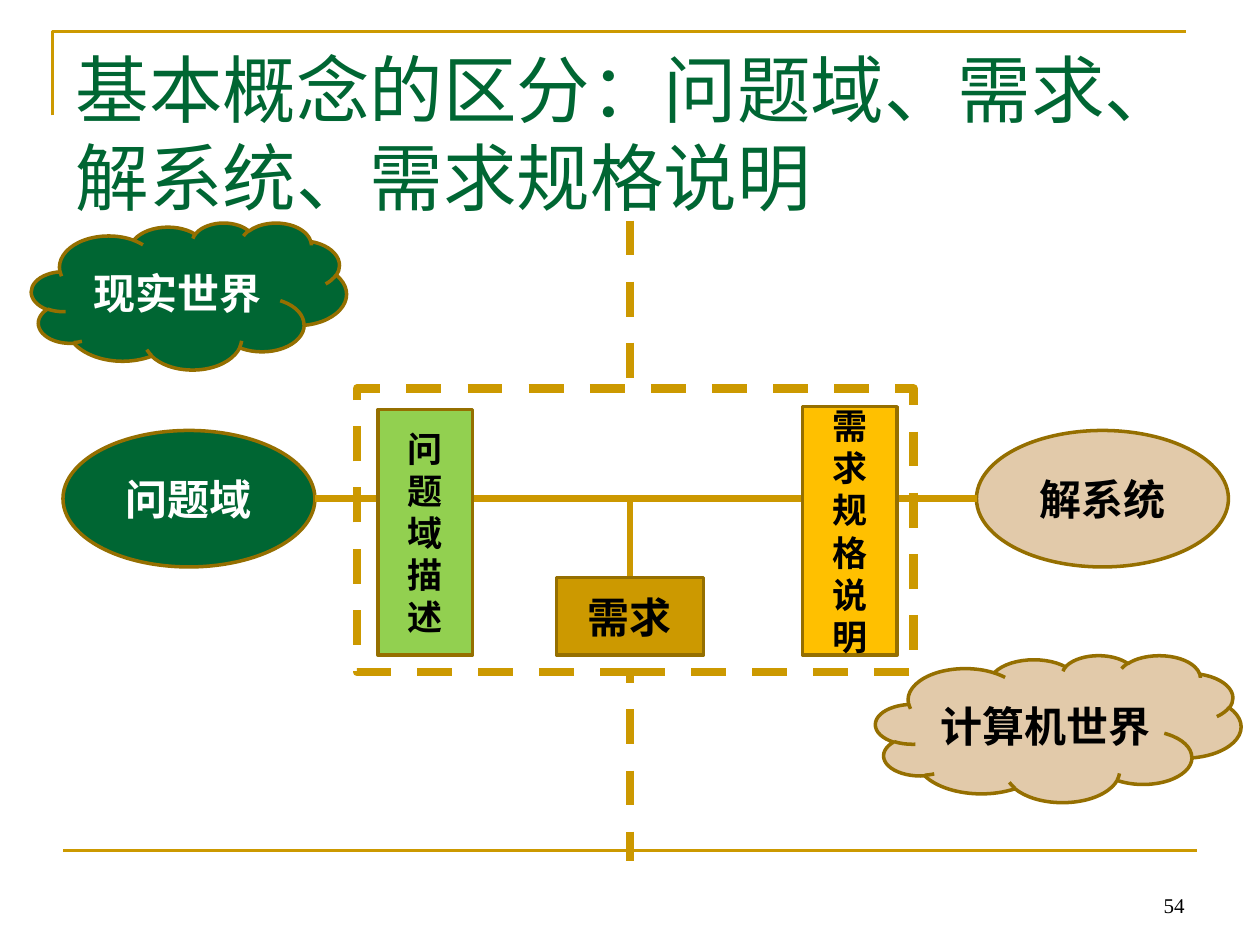
"""Draw the slide that sets problem domain, needs, solution and specification apart."""
from dataclasses import dataclass

import pptx
import pptx.dml.color
import pptx.enum.dml
import pptx.enum.shapes
import pptx.enum.text
import pptx.oxml.ns
import pptx.util
from lxml import etree

Pt = pptx.util.Pt
Kind = pptx.enum.shapes.MSO_SHAPE
Align = pptx.enum.text.PP_ALIGN
Anchor = pptx.enum.text.MSO_ANCHOR
DASH = pptx.enum.dml.MSO_LINE.DASH
GOLD, LINK, EDGE = "CC9900", "CC9800", "956F00"
GREEN, TAN, WHITE, BLACK = "006633", "E2CAAA", "FFFFFF", "000000"


@dataclass
class Node:
    text: str
    kind: int
    left: float
    top: float
    width: float
    height: float
    fill: str
    ink: str = BLACK
    size: float = 24


@dataclass
class Wire:
    x1: float
    y1: float
    x2: float
    y2: float
    color: str
    width: float
    dash: bool = False


def rgb(code: str):
    return pptx.dml.color.RGBColor.from_string(code)


def paint(shape, fill: str, edge: str, width: float) -> None:
    shape.shadow.inherit = False
    shape.fill.solid()
    shape.fill.fore_color.rgb = rgb(fill)
    shape.line.color.rgb = rgb(edge)
    shape.line.width = Pt(width)


def write(shape, text: str, size: float, font: str, ink: str,
          align, anchor, bold: bool = False) -> None:
    frame = shape.text_frame
    frame.text = text
    frame.word_wrap = True
    frame.auto_size = pptx.enum.text.MSO_AUTO_SIZE.NONE
    frame.vertical_anchor = anchor
    para = frame.paragraphs[0]
    para.alignment = align
    for run in para.runs:
        run.font.size = Pt(size)
        run.font.name = font
        run.font.bold = bold
        run.font.color.rgb = rgb(ink)


def draw_node(slide, node: Node):
    shape = slide.shapes.add_shape(
        node.kind, Pt(node.left), Pt(node.top), Pt(node.width), Pt(node.height))
    paint(shape, node.fill, EDGE, 2)
    write(shape, node.text, node.size, "Arial", node.ink,
          Align.CENTER, Anchor.MIDDLE, True)
    return shape


def draw_wire(slide, wire: Wire):
    line = slide.shapes.add_connector(
        pptx.enum.shapes.MSO_CONNECTOR.STRAIGHT,
        Pt(wire.x1), Pt(wire.y1), Pt(wire.x2), Pt(wire.y2))
    line.line.color.rgb = rgb(wire.color)
    line.line.width = Pt(wire.width)
    if wire.dash:
        line.line.dash_style = DASH
    etree.SubElement(line._element.spPr, pptx.oxml.ns.qn("a:effectLst"))
    return line


def draw_trim(slide) -> None:
    pen = slide.shapes.build_freeform(Pt(30), Pt(66))
    pen.add_line_segments([(Pt(30), Pt(18)), (Pt(678), Pt(18))], close=False)
    trim = pen.convert_to_shape()
    paint(trim, WHITE, GOLD, 1.5)
    trim.fill.background()
    draw_wire(slide, Wire(36, 486, 684, 486, GOLD, 1.5))


def draw_text(slide) -> None:
    title = slide.shapes.title
    title.left, title.top, title.width, title.height = Pt(36), Pt(21.6), Pt(648), Pt(90)
    write(title, "基本概念的区分：问题域、需求、解系统、需求规格说明", 42,
          "Times New Roman", GREEN, Align.LEFT, Anchor.TOP)
    page = slide.shapes.add_textbox(Pt(516), Pt(492), Pt(168), Pt(36))
    write(page, "54", 12, "Times New Roman", BLACK, Align.RIGHT, Anchor.BOTTOM)


def draw_map(slide) -> None:
    draw_wire(slide, Wire(360, 126, 360, 492, LINK, 5, True))
    frame = slide.shapes.add_shape(Kind.RECTANGLE, Pt(204), Pt(222), Pt(318), Pt(162))
    paint(frame, WHITE, GOLD, 5)
    frame.line.dash_style = DASH

    outer = [
        Node("现实世界", Kind.CLOUD, 18, 127.2, 180, 84, GREEN, WHITE),
        Node("计算机世界", Kind.CLOUD, 500.4, 374.4, 208.8, 84, TAN),
        Node("问题域", Kind.OVAL, 36, 246, 144, 78, GREEN, WHITE),
        Node("解系统", Kind.OVAL, 558, 246, 144, 78, TAN),
    ]
    for node in outer:
        draw_node(slide, node)

    draw_wire(slide, Wire(180, 285, 558, 285, LINK, 4))
    stem = draw_wire(slide, Wire(360, 285, 360, 374.4, LINK, 4))

    inner = [
        Node("问题域描述", Kind.RECTANGLE, 216, 234, 54, 140.4, "92D050", size=20),
        Node("需求规格说明", Kind.RECTANGLE, 458.6, 232.4, 54, 142, "FFC000", size=20),
        Node("需求", Kind.RECTANGLE, 318, 330, 84, 44.4, GOLD),
    ]
    boxes = [draw_node(slide, node) for node in inner]
    stem.end_connect(boxes[-1], 2)


def main() -> None:
    deck = pptx.Presentation()
    deck.slide_width, deck.slide_height = Pt(720), Pt(540)
    slide = deck.slides.add_slide(deck.slide_layouts[5])
    draw_trim(slide)
    draw_text(slide)
    draw_map(slide)
    deck.save("out.pptx")


if __name__ == "__main__":
    main()
